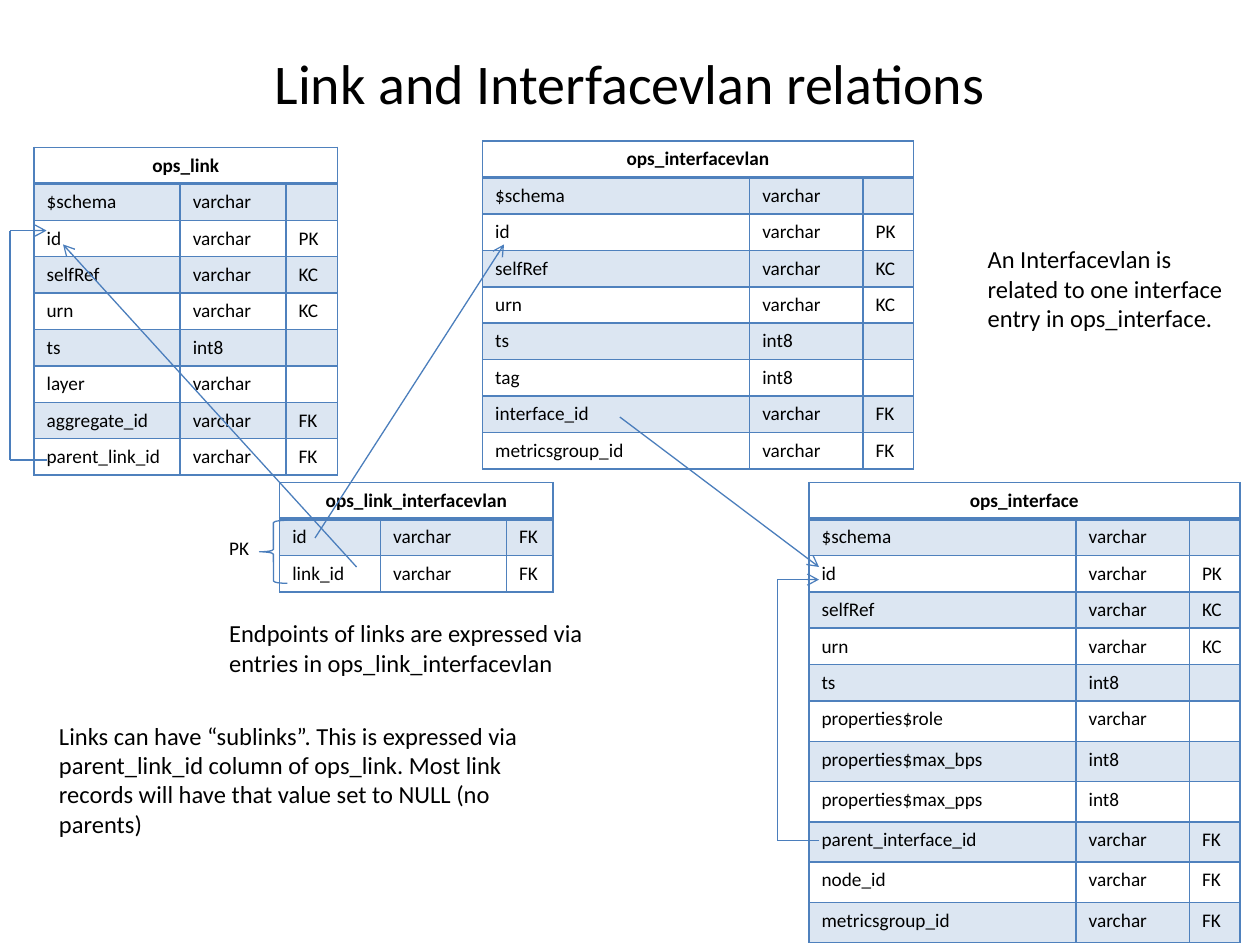
from lxml import etree
from pptx import Presentation
from pptx.dml.color import RGBColor
from pptx.enum.shapes import MSO_CONNECTOR, MSO_SHAPE
from pptx.enum.text import MSO_ANCHOR, PP_ALIGN
from pptx.oxml.ns import qn
from pptx.util import Inches, Pt

STRAIGHT = MSO_CONNECTOR.STRAIGHT
CENTER, LEFT = PP_ALIGN.CENTER, PP_ALIGN.LEFT
MIDDLE, TOP = MSO_ANCHOR.MIDDLE, MSO_ANCHOR.TOP
BLACK = RGBColor(0x00, 0x00, 0x00)
BORDER = RGBColor(0x4F, 0x81, 0xBD)
BAND = RGBColor(0xDC, 0xE6, 0xF2)
LINE = RGBColor(0x4B, 0x7E, 0xBC)
FONT = "Calibri"
ROW, TALL_ROW = 0.28, 0.32

# Columns shared by the three large tables
COMMON = [
    ("$schema", "varchar", ""),
    ("id", "varchar", "PK"),
    ("selfRef", "varchar", "KC"),
    ("urn", "varchar", "KC"),
    ("ts", "int8", ""),
]

# Each table: name, left, top, column widths, number of tall rows, fields
TABLES = [
    ("ops_link", 0.27, 1.17, (1.16, 0.84, 0.41), 0, COMMON + [
        ("layer", "varchar", ""),
        ("aggregate_id", "varchar", "FK"),
        ("parent_link_id", "varchar", "FK"),
    ]),
    ("ops_interface", 6.42, 3.83, (2.12, 0.9, 0.4), 6, COMMON + [
        ("properties$role", "varchar", ""),
        ("properties$max_bps", "int8", ""),
        ("properties$max_pps", "int8", ""),
        ("parent_interface_id", "varchar", "FK"),
        ("node_id", "varchar", "FK"),
        ("metricsgroup_id", "varchar", "FK"),
    ]),
    ("ops_interfacevlan", 3.83, 1.12, (2.12, 0.9, 0.4), 0, COMMON + [
        ("tag", "int8", ""),
        ("interface_id", "varchar", "FK"),
        ("metricsgroup_id", "varchar", "FK"),
    ]),
    ("ops_link_interfacevlan", 2.22, 3.83, (0.8, 1, 0.37), 0, [
        ("id", "varchar", "FK"),
        ("link_id", "varchar", "FK"),
    ]),
]

# Each text: words, (left, top, width, height), size, alignment, anchor, wrap
TEXTS = [
    ("Link and Interfacevlan relations", (0.5, 0.3, 9, 0.7), 32, CENTER, MIDDLE, True),
    ("Endpoints of links are expressed via entries in ops_link_interfacevlan",
     (1.72, 4.86, 3.26, 0.57), 14, LEFT, TOP, True),
    ("An Interfacevlan is related to one interface entry in ops_interface.",
     (7.74, 1.89, 2.25, 0.81), 14, LEFT, TOP, True),
    ("Links can have “sublinks”. This is expressed via parent_link_id column of "
     "ops_link. Most link records will have that value set to NULL (no parents)",
     (0.37, 5.67, 4, 1.04), 14, LEFT, TOP, True),
    ("PK", (1.72, 4.21, 0.36, 0.29), 11, LEFT, TOP, False),
]

# Each relation is a chain of points that ends in an arrowhead
RELATIONS = [
    [(4.92, 3.31), (6.5, 4.5)],
    [(2.5, 4.27), (4, 1.94)],
    [(2.83, 4.5), (0.5, 1.94)],
    [(6.5, 6.67), (6.17, 6.67), (6.17, 4.6), (6.5, 4.6)],
    [(0.37, 3.65), (0.08, 3.65), (0.08, 1.83), (0.37, 1.83)],
]
BRACE = (2.06, 4.13, 0.22, 0.5)


def write(frame, words, size, align=LEFT, bold=False):
    para = frame.paragraphs[0]
    para.alignment = align
    if not words:
        # An empty cell keeps the row height of the table text
        etree.SubElement(para._p, qn("a:endParaRPr"), sz=str(size * 100))
        return
    span = para.add_run()
    span.text = words
    formats = {"name": FONT, "size": Pt(size), "bold": bold}
    for name, value in formats.items():
        setattr(span.font, name, value)
    span.font.color.rgb = BLACK


def style_cell(cell, banded, bottom):
    properties = cell._tc.get_or_add_tcPr()
    for side, width in (("L", 1), ("R", 1), ("T", 1), ("B", bottom)):
        edge = etree.SubElement(properties, qn(f"a:ln{side}"), w=str(Pt(width)))
        paint = etree.SubElement(edge, qn("a:solidFill"))
        etree.SubElement(paint, qn("a:srgbClr"), val=str(BORDER))
    if banded:
        cell.fill.solid()
        cell.fill.fore_color.rgb = BAND
    else:
        cell.fill.background()


def add_schema(page, name, left, top, widths, tall, fields):
    rows = [(name, "", "")] + fields
    heights = [ROW] * (len(rows) - tall) + [TALL_ROW] * tall
    box = page.shapes.add_table(len(rows), len(widths), Inches(left), Inches(top),
                                Inches(sum(widths)), Inches(sum(heights)))
    table = box.table
    table.first_row = table.horz_banding = False
    for column, width in zip(table.columns, widths):
        column.width = Inches(width)
    for r, (row, height, values) in enumerate(zip(table.rows, heights, rows)):
        row.height = Inches(height)
        header = r == 0
        for cell, words in zip(row.cells, values):
            write(cell.text_frame, words, 11, CENTER if header else LEFT, header)
            style_cell(cell, r % 2 == 1, 2 if header else 1)
    table.cell(0, 0).merge(table.cell(0, len(widths) - 1))


def add_text(page, words, place, size, align, anchor, wrap):
    box = page.shapes.add_textbox(*map(Inches, place))
    box.text_frame.word_wrap = wrap
    box.text_frame.vertical_anchor = anchor
    write(box.text_frame, words, size, align)


def style_line(shape):
    shape.line.color.rgb = LINE
    shape.line.width = Pt(0.75)


def add_relation(page, points):
    for start, end in zip(points, points[1:]):
        line = page.shapes.add_connector(STRAIGHT, *map(Inches, start + end))
        style_line(line)
        etree.SubElement(line._element.spPr, qn("a:effectLst"))
    etree.SubElement(line.line._get_or_add_ln(), qn("a:tailEnd"), type="arrow")


def main():
    deck = Presentation()
    deck.slide_width, deck.slide_height = Inches(10), Inches(7.5)
    page = deck.slides.add_slide(deck.slide_layouts[6])

    # Tables first, so that the relations run over them
    for schema in TABLES:
        add_schema(page, *schema)
    for text in TEXTS:
        add_text(page, *text)
    for points in RELATIONS:
        add_relation(page, points)

    # Brace joining the two fields of the composite key
    brace = page.shapes.add_shape(MSO_SHAPE.LEFT_BRACE, *map(Inches, BRACE))
    brace.shadow.inherit = False
    brace.fill.background()
    style_line(brace)

    deck.save("out.pptx")


if __name__ == "__main__":
    main()
